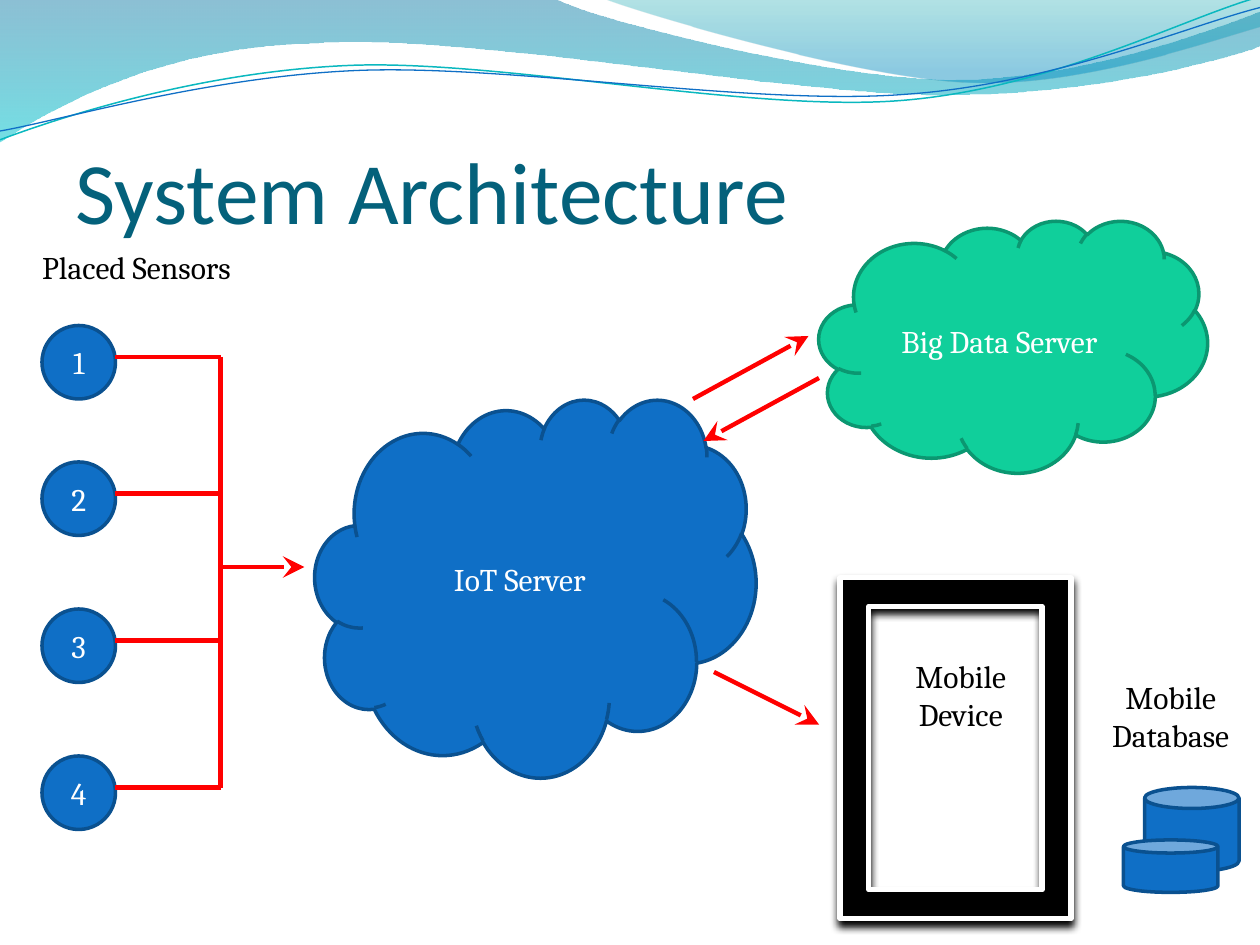
from lxml.etree import SubElement
from pptx import Presentation
from pptx.dml.color import RGBColor
from pptx.enum.shapes import MSO_CONNECTOR, MSO_SHAPE
from pptx.enum.text import MSO_ANCHOR, PP_ALIGN
from pptx.oxml.ns import qn
from pptx.util import Inches, Pt

LINE = MSO_CONNECTOR.STRAIGHT
OVAL, CLOUD = MSO_SHAPE.OVAL, MSO_SHAPE.CLOUD
FRAME, CAN = MSO_SHAPE.FRAME, MSO_SHAPE.CAN
TOP, MIDDLE, BOTTOM = MSO_ANCHOR.TOP, MSO_ANCHOR.MIDDLE, MSO_ANCHOR.BOTTOM
LEFT, CENTER = PP_ALIGN.LEFT, PP_ALIGN.CENTER

COLS, ROWS = 120, 90
WIDTH, HEIGHT = Inches(10), Inches(7.5)
BLUE, NAVY, GREEN, PINE = "0F6FC6", "0A5190", "10CF9B", "0B9771"
RED, WHITE, BLACK = "FF0000", "FFFFFF", "000000"

BANDS = [
    ([(0, 0), (4.4, -0.01), (4.76, 0.17, 6.64, 0.63, 7.58, 0.63),
      (8.53, 0.63, 9.58, 0.26, 10, 0.09), (10.01, 0.36),
      (9.83, 0.44, 8.7, 0.76, 7.46, 0.75), (6.22, 0.75, 3.82, 0.28, 2.57, 0.34),
      (1.29, 0.36, 0.46, 0.83, -0.01, 1.13)],
     [(0, "0074A1", 45), (1, "00C6CF", 55)]),
    ([(4.79, -0.01), (5.09, 0.11, 6.82, 0.62, 7.69, 0.65),
      (8.56, 0.69, 9.61, 0.32, 10, 0.21), (10, 0)],
     [(0, "00A1A9", 30), (0.8, "008BBF", 45)]),
]
WAVES = [
    ([(0, 1.11), (0.48, 0.93, 1.58, 0.57, 2.77, 0.52),
      (3.95, 0.47, 5.93, 0.89, 7.13, 0.8), (8.33, 0.71, 9.38, 0.15, 9.98, -0.02)],
     "0AB8BF", 0.85),
    ([(0, 1.04), (0.47, 0.96, 1.64, 0.61, 2.83, 0.56),
      (4.03, 0.51, 5.97, 0.84, 7.17, 0.75), (8.36, 0.67, 9.41, 0.21, 10, 0.06)],
     BLUE, 0.75),
]


def grid(*vals):
    """Turn alternating columns and rows into slide lengths."""
    return [round(val * (HEIGHT / ROWS if i % 2 else WIDTH / COLS))
            for i, val in enumerate(vals)]


def tint(part, code):
    """Give a fill or a line a solid hex colour."""
    fill = getattr(part, "fill", part)
    fill.solid()
    fill.fore_color.rgb = RGBColor.from_string(code)


def bend(shape, steps):
    """Merge the three points of each curved step into one cubic curve."""
    nodes = iter(list(shape._element.iter(qn("a:lnTo"))))
    for step in steps[1:]:
        node = next(nodes)
        if len(step) == 6:
            node.tag = qn("a:cubicBezTo")
            for _ in range(2):
                extra = next(nodes)
                node.append(extra[0])
                extra.getparent().remove(extra)


def outline(slide, steps, close):
    """Draw an outline of lines and cubic curves without a shadow."""
    points = [(Inches(x), Inches(y))
              for step in steps for x, y in zip(step[::2], step[1::2])]
    pen = slide.shapes.build_freeform(*points[0])
    pen.add_line_segments(points[1:], close=close)
    shape = pen.convert_to_shape()
    bend(shape, steps)
    shape.shadow.inherit = False
    return shape


def band(slide, steps, stops):
    """Draw a header band with a translucent downward gradient."""
    shape = outline(slide, steps, True)
    shape.line.fill.background()
    shape.fill.gradient()
    shape.fill.gradient_angle = 270
    for stop, (place, code, _) in zip(shape.fill.gradient_stops, stops):
        stop.position = place
        stop.color.rgb = RGBColor.from_string(code)
    for node, stop in zip(shape._element.spPr.iter(qn("a:srgbClr")), stops):
        SubElement(node, qn("a:alpha"), val=str(stop[2] * 1000))


def wave(slide, steps, code, width):
    """Draw a thin curved line."""
    shape = outline(slide, steps, False)
    shape.fill.background()
    tint(shape.line, code)
    shape.line.width = Pt(width)


def write(shape, text, size=18, font="Cambria", color=WHITE, align=CENTER, anchor=MIDDLE):
    """Put formatted text into a shape."""
    frame = shape.text_frame
    frame.word_wrap = True
    frame.vertical_anchor = anchor
    para = frame.paragraphs[0]
    para.alignment = align
    run = para.add_run()
    run.text = text
    run.font.size = Pt(size)
    run.font.name = font
    run.font.color.rgb = RGBColor.from_string(color)


def label(slide, box, text, color=BLACK, anchor=TOP, **form):
    """Add a text box on the grid."""
    shape = slide.shapes.add_textbox(*grid(*box))
    write(shape, text, color=color, anchor=anchor, **form)
    return shape


def block(slide, kind, box, fill=BLUE, edge=NAVY, width=2, text=None):
    """Add a filled preset shape on the grid."""
    shape = slide.shapes.add_shape(kind, *grid(*box))
    shape.shadow.inherit = False
    tint(shape.fill, fill)
    tint(shape.line, edge)
    shape.line.width = Pt(width)
    if text:
        write(shape, text)
    return shape


def shade(shape):
    """Cast a soft black shadow below a shape."""
    effect = shape._element.spPr.find(qn("a:effectLst"))
    cast = SubElement(effect, qn("a:outerShdw"), blurRad=str(Pt(4.5)),
                      dist=str(Pt(3)), dir="5400000", rotWithShape="0")
    SubElement(cast, qn("a:srgbClr"), val=BLACK)


def link(slide, *ends, arrow=False):
    """Draw a red line, with a large stealth head if asked."""
    line = slide.shapes.add_connector(LINE, *grid(*ends))
    tint(line.line, RED)
    line.line.width = Pt(2.5)
    if arrow:
        SubElement(line.line._get_or_add_ln(), qn("a:tailEnd"),
                   type="stealth", w="lg", len="lg")
    SubElement(line._element.spPr, qn("a:effectLst"))


def main():
    """Build the slide and save it."""
    deck = Presentation()
    deck.slide_width, deck.slide_height = WIDTH, HEIGHT
    slide = deck.slides.add_slide(deck.slide_layouts[6])
    for steps, stops in BANDS:
        band(slide, steps, stops)
    for steps, code, width in WAVES:
        wave(slide, steps, code, width)

    title = label(slide, (6, 9.25, 108, 15), "System Architecture", size=50,
                  font="Calibri", color="04617B", align=LEFT, anchor=BOTTOM)
    title.text_frame.margin_top = title.text_frame.margin_bottom = Inches(0.1)
    label(slide, (2, 23, 22, 4.8), "Placed Sensors")

    rows = (31, 44, 58, 72)
    for num, row in enumerate(rows, 1):
        block(slide, OVAL, (4, row, 7, 7), text=str(num))
        link(slide, 11, row + 3, 21, row + 3)
    link(slide, 21, rows[0] + 3, 21, rows[-1] + 3)

    block(slide, CLOUD, (30, 38, 42, 36), text="IoT Server")
    block(slide, CLOUD, (78, 21, 37, 24), GREEN, PINE, text="Big Data Server")
    shade(block(slide, FRAME, (80, 55, 22, 32.5), BLACK, WHITE, 3))
    label(slide, (85, 62, 13, 8.5), "Mobile Device")
    for box in ((109, 75, 9, 8), (107, 80, 9, 5)):
        block(slide, CAN, box)
    label(slide, (103, 64, 17, 8.5), "Mobile Database")

    for ends in ((21, 54, 29, 54), (66, 38, 77, 32), (78, 36, 67, 42), (68, 64, 78, 69)):
        link(slide, *ends, arrow=True)
    deck.save("out.pptx")


if __name__ == "__main__":
    main()
